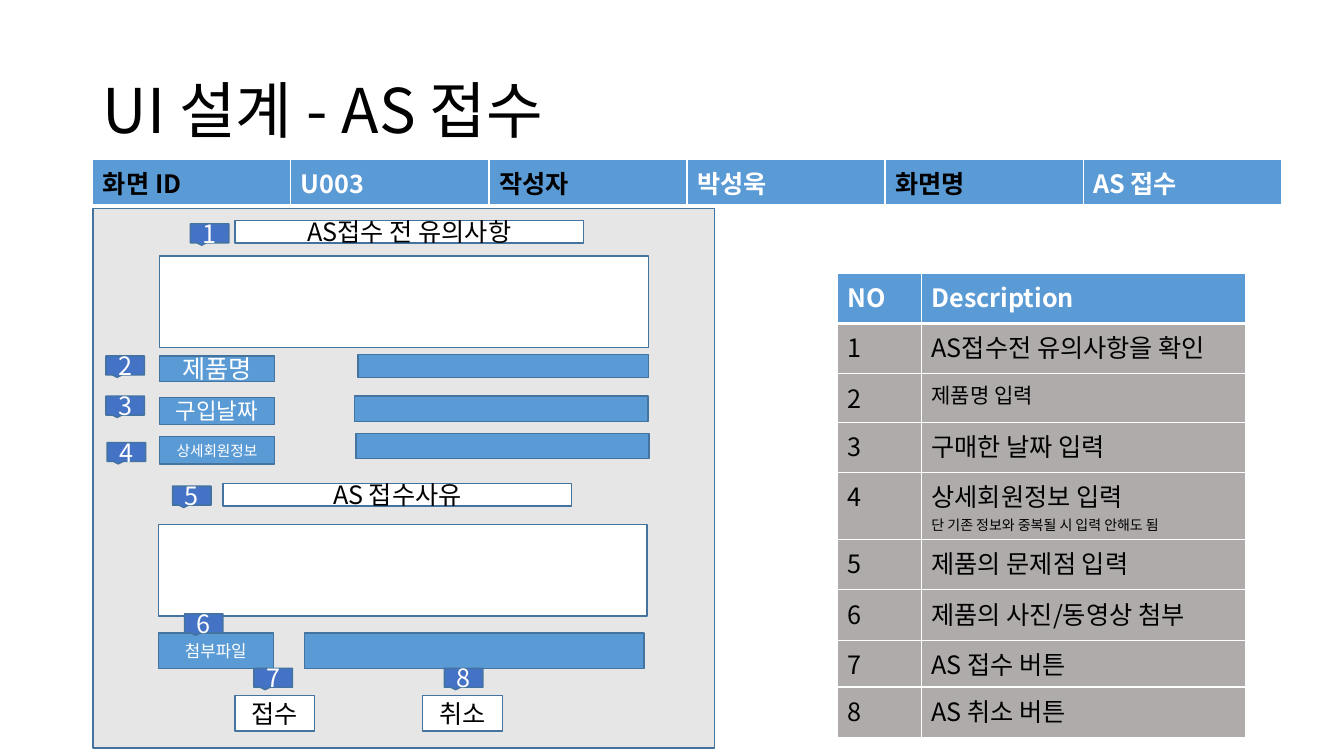
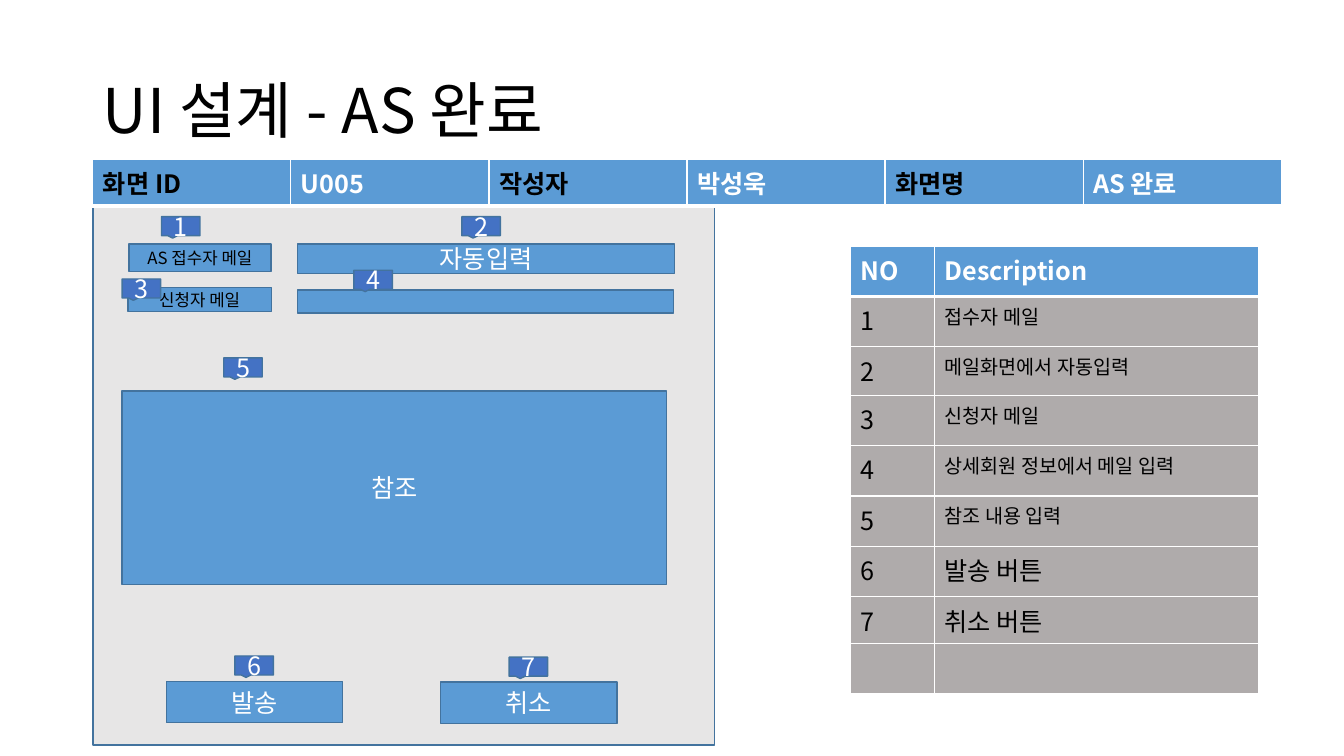
"""Build two screen-design slides with a shared title, header table, mock-up and descriptions."""
import collections

import lxml.etree
import pptx
import pptx.dml.color
import pptx.enum.shapes
import pptx.enum.text
import pptx.oxml.ns
import pptx.util

Cm = pptx.util.Cm
Pt = pptx.util.Pt
Preset = pptx.enum.shapes.MSO_SHAPE
Align = pptx.enum.text.PP_ALIGN
qn = pptx.oxml.ns.qn

COLORS = {
    "black": "000000",
    "white": "FFFFFF",
    "blue": "5B9BD5",
    "marker": "4472C4",
    "outline": "43739E",
    "panel": "E7E6E6",
    "row": "AFABAB",
}
FONT = "Noto Sans CJK KR"
Box = collections.namedtuple("Box", "left top width height")
Part = collections.namedtuple(
    "Part", "left top width height fill text size color preset",
    defaults=("blue", "", 18, "white", Preset.RECTANGLE))

TITLE_BOX = Box(2.34, 1.02, 29.21, 3.68)
HEADER_BOX = Box(2.34, 4.01, 29.95, 1.04)
MARKER_WIDTH, MARKER_HEIGHT = 0.97, 0.48
DESCRIPTION_COLUMNS = (2.11, 8.18)
DESCRIPTION_ROWS = (1.27, 1.27, 1.22, 1.27, 1.27, 1.27, 1.27, 1.18, 1.27)


def rgb(name):
    """Return the named colour."""
    return pptx.dml.color.RGBColor.from_string(COLORS[name])


def add_run(paragraph, text, size, color, bold=False):
    """Add one formatted run to the paragraph."""
    run = paragraph.add_run()
    run.text = text
    run.font.size = Pt(size)
    run.font.bold = bold
    run.font.name = FONT
    run.font.color.rgb = rgb(color)
    east_asian = lxml.etree.Element(qn("a:ea"), typeface=FONT)
    run.font._element.find(qn("a:latin")).addnext(east_asian)


def add_part(slide, box, part):
    """Place one outlined shape relative to the box."""
    shape = slide.shapes.add_shape(
        part.preset, Cm(box.left + part.left), Cm(box.top + part.top),
        Cm(part.width), Cm(part.height))
    shape.shadow.inherit = False
    shape.fill.solid()
    shape.fill.fore_color.rgb = rgb(part.fill)
    shape.line.color.rgb = rgb("outline")
    shape.line.width = Pt(1)
    if part.text:
        shape.text_frame.word_wrap = True
        shape.text_frame.vertical_anchor = pptx.enum.text.MSO_ANCHOR.MIDDLE
        paragraph = shape.text_frame.paragraphs[0]
        paragraph.alignment = Align.CENTER
        add_run(paragraph, part.text, part.size, part.color)


def add_mockup(slide, box, parts, markers):
    """Draw the screen panel, its parts and the numbered markers."""
    add_part(slide, box, Part(0, 0, box.width, box.height, "panel"))
    for part in parts:
        add_part(slide, box, part)
    for number, (left, top) in enumerate(markers, start=1):
        add_part(slide, box, Part(
            left, top, MARKER_WIDTH, MARKER_HEIGHT, "marker", str(number),
            preset=Preset.RECTANGULAR_CALLOUT))


def format_cell(cell, fill, bottom_width=1):
    """Give a cell its fill and white borders."""
    properties = cell._tc.get_or_add_tcPr()
    for side, width in (("L", 1), ("R", 1), ("T", 1), ("B", bottom_width)):
        border = lxml.etree.SubElement(
            properties, qn("a:ln" + side), w=str(Pt(width)))
        solid = lxml.etree.SubElement(border, qn("a:solidFill"))
        lxml.etree.SubElement(solid, qn("a:srgbClr"), val=COLORS["white"])
    cell.fill.solid()
    cell.fill.fore_color.rgb = rgb(fill)


def add_cell_line(cell, index, text, size, color, bold=False):
    """Write one paragraph of a cell."""
    frame = cell.text_frame
    paragraph = frame.add_paragraph() if index else frame.paragraphs[0]
    paragraph.alignment = Align.JUSTIFY
    add_run(paragraph, text, size, color, bold)


def add_table(slide, left, top, columns, rows):
    """Add an unbanded table with the given column widths and row heights."""
    table = slide.shapes.add_table(
        len(rows), len(columns), Cm(left), Cm(top),
        Cm(sum(columns)), Cm(sum(rows))).table
    table.horz_banding = False
    for column, width in zip(table.columns, columns):
        column.width = Cm(width)
    for row, height in zip(table.rows, rows):
        row.height = Cm(height)
    return table


def add_title(slide, box, text):
    """Format the title placeholder and fill it."""
    title = slide.shapes.title
    title.left, title.top, title.width, title.height = map(Cm, box)
    frame = title.text_frame
    frame.word_wrap = True
    frame.auto_size = pptx.enum.text.MSO_AUTO_SIZE.NONE
    frame.vertical_anchor = pptx.enum.text.MSO_ANCHOR.MIDDLE
    paragraph = frame.paragraphs[0]
    paragraph.alignment = Align.LEFT
    paragraph.line_spacing = 0.9
    add_run(paragraph, text, 44, "black")


def add_header(slide, box, screen_id, screen_name):
    """Add the row that identifies the screen."""
    values = ("화면 ID", screen_id, "작성자", "박성욱", "화면명", screen_name)
    columns = [box.width / len(values)] * len(values)
    table = add_table(slide, box.left, box.top, columns, [box.height])
    for index, text in enumerate(values):
        cell = table.cell(0, index)
        format_cell(cell, "blue", 3)
        add_cell_line(cell, 0, text, 18, "white" if index % 2 else "black", True)


def add_descriptions(slide, left, top, descriptions):
    """Add the numbered table that explains the markers."""
    table = add_table(slide, left, top, DESCRIPTION_COLUMNS, DESCRIPTION_ROWS)
    for index, text in enumerate(("NO", "Description")):
        format_cell(table.cell(0, index), "blue", 3)
        add_cell_line(table.cell(0, index), 0, text, 18, "white", True)
    for row in range(1, len(DESCRIPTION_ROWS)):
        for index in range(len(DESCRIPTION_COLUMNS)):
            format_cell(table.cell(row, index), "row")
    for row, lines in enumerate(descriptions, start=1):
        add_cell_line(table.cell(row, 0), 0, str(row), 18, "black")
        for index, (text, size) in enumerate(lines):
            add_cell_line(table.cell(row, 1), index, text, size, "black")


def add_screen_slide(presentation, screen_id, name, mockup_box, parts, markers,
                     description_corner, descriptions):
    """Add one complete screen-design slide."""
    slide = presentation.slides.add_slide(presentation.slide_layouts[5])
    add_title(slide, TITLE_BOX, "UI 설계 - " + name)
    add_mockup(slide, mockup_box, parts, markers)
    add_header(slide, HEADER_BOX, screen_id, name)
    add_descriptions(slide, *description_corner, descriptions)


def heading(left, top, text):
    """Return a white section heading."""
    return Part(left, top, 8.79, 0.56, "white", text, 18, "black",
                Preset.FLOWCHART_PROCESS)


def text_area(left, top):
    """Return a white text area."""
    return Part(left, top, 12.32, 2.31, "white")


def white_button(left, text):
    """Return a white button of the reception screen."""
    return Part(left, 12.27, 2.01, 0.89, "white", text, 18, "black")


RECEPTION_PARTS = (
    text_area(1.68, 1.19),
    heading(3.58, 0.3, "AS접수 전 유의사항"),
    Part(1.68, 3.71, 2.9, 0.64, text="제품명"),
    Part(1.68, 4.75, 2.9, 0.69, text="구입날짜", size=16),
    Part(1.68, 5.74, 2.9, 0.69, text="상세회원정보", size=10.5),
    Part(6.68, 3.68, 7.32, 0.58),
    Part(6.6, 4.72, 7.39, 0.64),
    Part(6.63, 5.66, 7.39, 0.64),
    heading(3.28, 6.93, "AS 접수사유"),
    text_area(1.65, 7.95),
    Part(1.65, 10.69, 2.9, 0.89, text="첨부파일", size=12),
    Part(5.33, 10.69, 8.56, 0.89),
    white_button(3.58, "접수"),
    white_button(8.31, "취소"),
)
RECEPTION_MARKERS = (
    (2.46, 0.38), (0.33, 3.71), (0.33, 4.72), (0.36, 5.89),
    (2.01, 6.99), (2.31, 10.21), (4.06, 11.58), (8.86, 11.58),
)
RECEPTION_DESCRIPTIONS = (
    [("AS접수전 유의사항을 확인", 18)],
    [("제품명 입력", 15)],
    [("구매한 날짜 입력", 18)],
    [("상세회원정보 입력", 18), ("단 기존 정보와 중복될 시 입력 안해도 됨", 10)],
    [("제품의 문제점 입력", 18)],
    [("제품의 사진/동영상 첨부", 18)],
    [("AS 접수 버튼", 18)],
    [("AS 취소 버튼", 18)],
)
COMPLETION_PARTS = (
    Part(0.91, 0.97, 3.58, 0.69, text="AS 접수자 메일", size=12, color="black"),
    Part(5.16, 0.97, 9.5, 0.74, text="자동입력"),
    Part(0.74, 4.67, 13.72, 4.88, text="참조"),
    Part(0.89, 2.06, 3.61, 0.61, text="신청자 메일", size=12, color="black"),
    Part(5.16, 2.13, 9.47, 0.58),
    Part(1.85, 11.99, 4.45, 1.04, text="발송"),
    Part(8.76, 12.01, 4.45, 1.04, text="취소"),
)
COMPLETION_MARKERS = (
    (1.73, 0.28), (9.3, 0.28), (0.74, 1.85), (6.58, 1.63),
    (3.3, 3.84), (3.58, 11.35), (10.49, 11.38),
)
COMPLETION_DESCRIPTIONS = (
    [("접수자 메일", 14)],
    [("메일화면에서 자동입력", 14)],
    [("신청자 메일", 14)],
    [("상세회원 정보에서 메일 입력", 14)],
    [("참조 내용 입력", 14)],
    [("발송 버튼", 18)],
    [("취소 버튼", 18)],
)


def main():
    """Build and save the presentation."""
    presentation = pptx.Presentation()
    presentation.slide_width = Cm(33.87)
    presentation.slide_height = Cm(19.05)
    add_screen_slide(
        presentation, "U003", "AS 접수", Box(2.34, 5.26, 15.67, 13.59),
        RECEPTION_PARTS, RECEPTION_MARKERS, (21.11, 6.88), RECEPTION_DESCRIPTIONS)
    add_screen_slide(
        presentation, "U005", "AS 완료", Box(2.34, 5.18, 15.67, 13.59),
        COMPLETION_PARTS, COMPLETION_MARKERS, (21.44, 6.2), COMPLETION_DESCRIPTIONS)
    presentation.save("out.pptx")


main()
